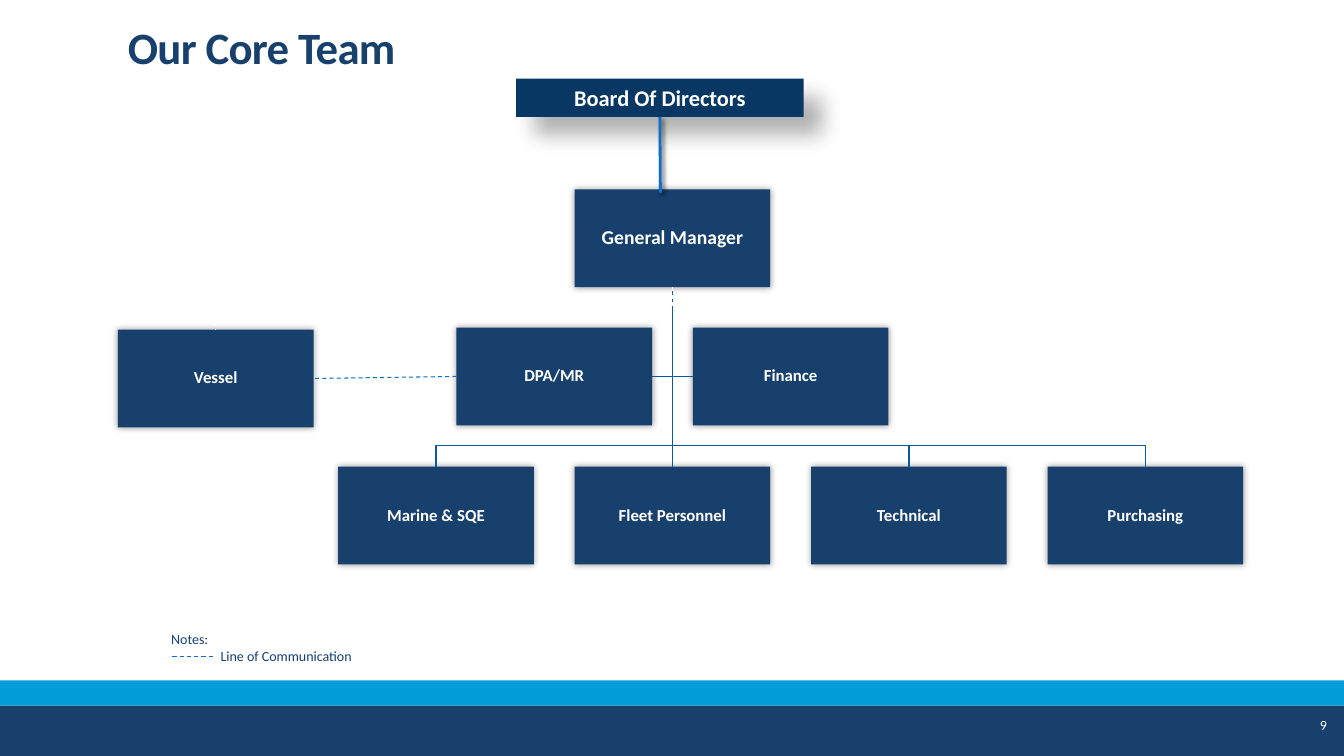
import pptx
import pptx.util
import pptx.dml.color
import pptx.enum.dml
import pptx.enum.shapes
import pptx.enum.text
import pptx.oxml
import pptx.oxml.ns

Inches, Pt = pptx.util.Inches, pptx.util.Pt
Color = pptx.dml.color.RGBColor
ALIGN = pptx.enum.text.PP_ALIGN
ANCHOR = pptx.enum.text.MSO_ANCHOR
RECT = pptx.enum.shapes.MSO_SHAPE.RECTANGLE
STRAIGHT = pptx.enum.shapes.MSO_CONNECTOR.STRAIGHT
DASH = pptx.enum.dml.MSO_LINE.DASH

NAVY = Color(0x17, 0x40, 0x6D)
DEEP = Color(0x08, 0x37, 0x63)
SKY = Color(0x00, 0x9D, 0xD9)
BLUE = Color(0x0F, 0x6F, 0xC6)
LINK = Color(0x0C, 0x59, 0x9F)
WHITE = Color(0xFF, 0xFF, 0xFF)
FONT = "Calibri"

TITLE = "Our Core Team"
BOARD = "Board Of Directors"
CHIEF = "General Manager"
VESSEL = "Vessel"
AIDES = ["DPA/MR", "Finance"]
TEAMS = ["Marine & SQE", "Fleet Personnel", "Technical", "Purchasing"]
NOTES = ["Notes:", "Line of Communication"]
PAGE = "9"

WIDE, HIGH = 1.94, 0.97
STEP = 2.345
MID = 6.67
CHIEF_TOP, AIDE_TOP, TEAM_TOP = 1.88, 3.25, 4.63
VESSEL_X, VESSEL_TOP = 2.14, 3.27
FOOT = CHIEF_TOP + HIGH
BEND = 0.21

BOX_SHADE = (40, 5, 0, 0)
BOARD_SHADE = (30, 15, 18, 45)
LINE_SHADE = (60, 3, 2, 45)

deck = pptx.Presentation()
deck.slide_width, deck.slide_height = Inches(13.33), Inches(7.5)
slide = deck.slides.add_slide(deck.slide_layouts[6])
shapes = slide.shapes


def shade(shape, look=None):
    """Set an outer shadow (alpha %, blur pt, distance pt, angle), or none."""
    inner = ""
    if look:
        alpha, blur, dist, angle = look
        inner = (f'<a:outerShdw blurRad="{Pt(blur)}" dist="{Pt(dist)}" '
                 f'dir="{angle * 60000}" algn="ctr" rotWithShape="0">'
                 f'<a:srgbClr val="000000"><a:alpha val="{alpha * 1000}"/>'
                 '</a:srgbClr></a:outerShdw>')
    props = shape._element.spPr
    for old in props.findall(pptx.oxml.ns.qn("a:effectLst")):
        props.remove(old)
    props.append(pptx.oxml.parse_xml(
        f'<a:effectLst {pptx.oxml.ns.nsdecls("a")}>{inner}</a:effectLst>'))


def write(shape, lines, size, color, bold=False, align=ALIGN.LEFT,
          anchor=ANCHOR.TOP, space=1.0):
    frame = shape.text_frame
    frame.word_wrap = True
    frame.vertical_anchor = anchor
    frame.text = "\n".join(lines)
    for para in frame.paragraphs:
        para.alignment, para.line_spacing = align, space
        font = para.font
        font.name, font.size, font.bold = FONT, Pt(size), bold
        font.color.rgb = color
    return frame


def block(left, top, wide, high, fill, look=None):
    shape = shapes.add_shape(RECT, *map(Inches, (left, top, wide, high)))
    shape.fill.solid()
    shape.fill.fore_color.rgb = fill
    shape.line.fill.background()
    shade(shape, look)
    return shape


def role(name, center, top, size=12):
    """Draw one box of the chart."""
    shape = block(center - WIDE / 2, top, WIDE, HIGH, NAVY, BOX_SHADE)
    frame = write(shape, [name], size, WHITE, True, ALIGN.CENTER,
                  ANCHOR.MIDDLE, 0.9)
    frame.margin_left = frame.margin_right = Inches(0.01)
    frame.margin_top = frame.margin_bottom = Inches(0.01)
    return shape


def label(left, top, wide, high, lines, size, color, **style):
    box = shapes.add_textbox(*map(Inches, (left, top, wide, high)))
    return write(box, lines, size, color, **style)


def ink(shape, color, width, dash=None):
    shape.line.color.rgb = color
    shape.line.width = Pt(width)
    if dash:
        shape.line.dash_style = dash


def elbow(points, color=LINK, width=1.25, dash=None):
    """Draw an open line that starts under the chief's box."""
    pen = shapes.build_freeform(Inches(MID), Inches(FOOT))
    pen.add_line_segments([(Inches(x), Inches(y)) for x, y in points],
                          close=False)
    shape = pen.convert_to_shape()
    shape.fill.background()
    shade(shape)
    ink(shape, color, width, dash)


def wire(start, end, color, width, dash=None, look=None):
    line = shapes.add_connector(STRAIGHT, *map(Inches, (*start, *end)))
    ink(line, color, width, dash)
    shade(line, look)
    return line


block(0, 7, 13.33, 0.5, NAVY)
block(0, 6.75, 13.33, 0.25, SKY)
head = label(1.17, 0.26, 11, 0.52, [TITLE], 32, NAVY, bold=True,
             anchor=ANCHOR.BOTTOM, space=0.85)
head.paragraphs[0].runs[0].font._element.set("spc", "-50")

chief = role(CHIEF, MID, CHIEF_TOP, 14)
vessel = role(VESSEL, VESSEL_X, VESSEL_TOP)
team_x = [MID + (i - 1) * STEP for i in range(len(TEAMS))]
teams = [role(name, x, TEAM_TOP) for name, x in zip(TEAMS, team_x)]
aide_x = [MID + (i - 0.5) * STEP for i in range(len(AIDES))]
aides = [role(name, x, AIDE_TOP) for name, x in zip(AIDES, aide_x)]

aide_y = AIDE_TOP + HIGH / 2
for edge in (aide_x[0] + WIDE / 2, aide_x[1] - WIDE / 2):
    elbow([(MID, aide_y), (edge, aide_y)])
for x in team_x:
    if x != MID:
        turn = TEAM_TOP - BEND
        elbow([(MID, turn), (x, turn), (x, TEAM_TOP)])
spine = wire((MID, FOOT), (MID, TEAM_TOP), LINK, 1.25)
spine.begin_connect(chief, 2)
spine.end_connect(teams[1], 0)
turn = VESSEL_TOP - BEND
elbow([(MID, turn), (VESSEL_X, turn), (VESSEL_X, VESSEL_TOP)],
      WHITE, 0.75, DASH)

label(11.83, 7.06, 1.43, 0.4, [PAGE], 10, WHITE, align=ALIGN.RIGHT)
notes = label(1.6, 6.21, 6.67, 0.44, NOTES, 10, NAVY)
notes.paragraphs[1]._p.get_or_add_pPr().set("marL", str(Inches(0.49)))

board = block(5.12, 0.78, 2.85, 0.38, DEEP, BOARD_SHADE)
write(board, [BOARD], 16, WHITE, True, ALIGN.CENTER, ANCHOR.MIDDLE)
stem = wire((6.55, 1.16), (6.55, 1.91), BLUE, 2, look=LINE_SHADE)
stem.begin_connect(board, 2)
talk = wire((4.53, 3.75), (3.11, 3.75), BLUE, 0.75, DASH)
talk.begin_connect(aides[0], 1)
talk.end_connect(vessel, 3)
wire((2.11, 6.51), (1.68, 6.51), BLUE, 0.75, DASH)

deck.save("out.pptx")
